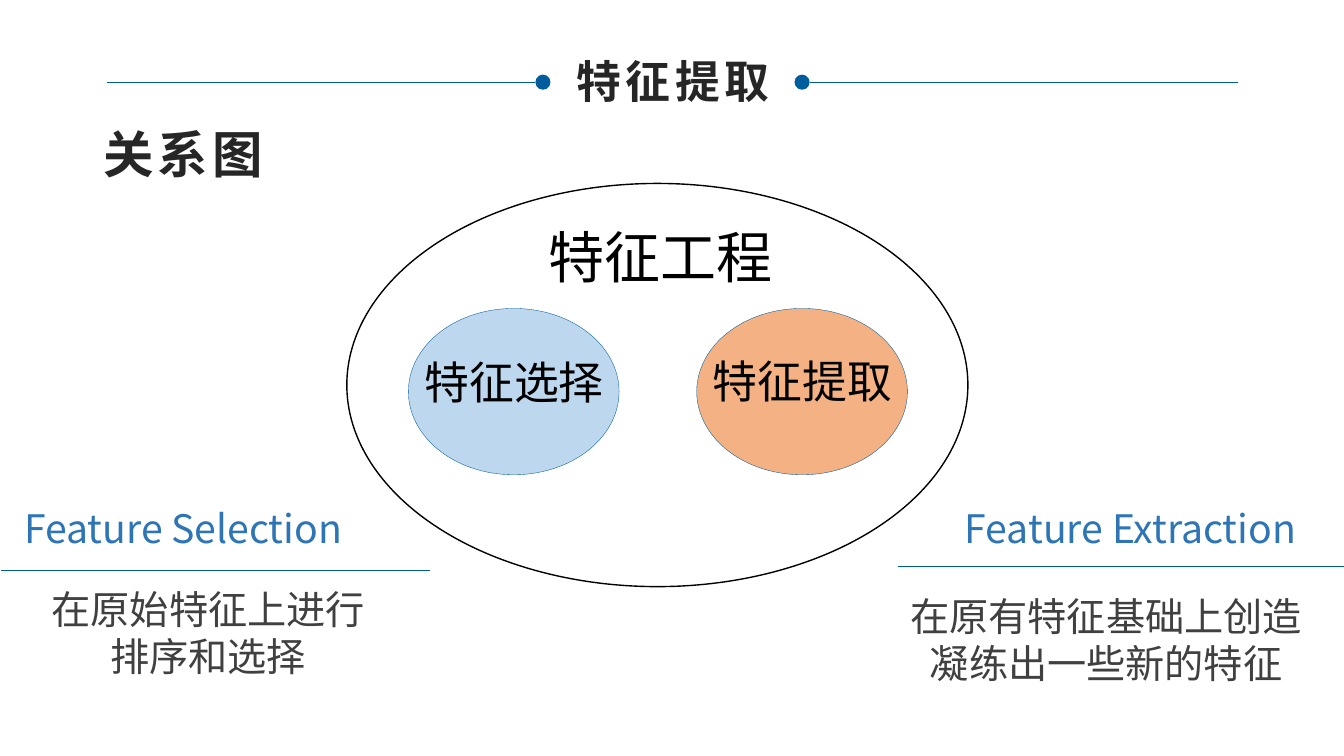
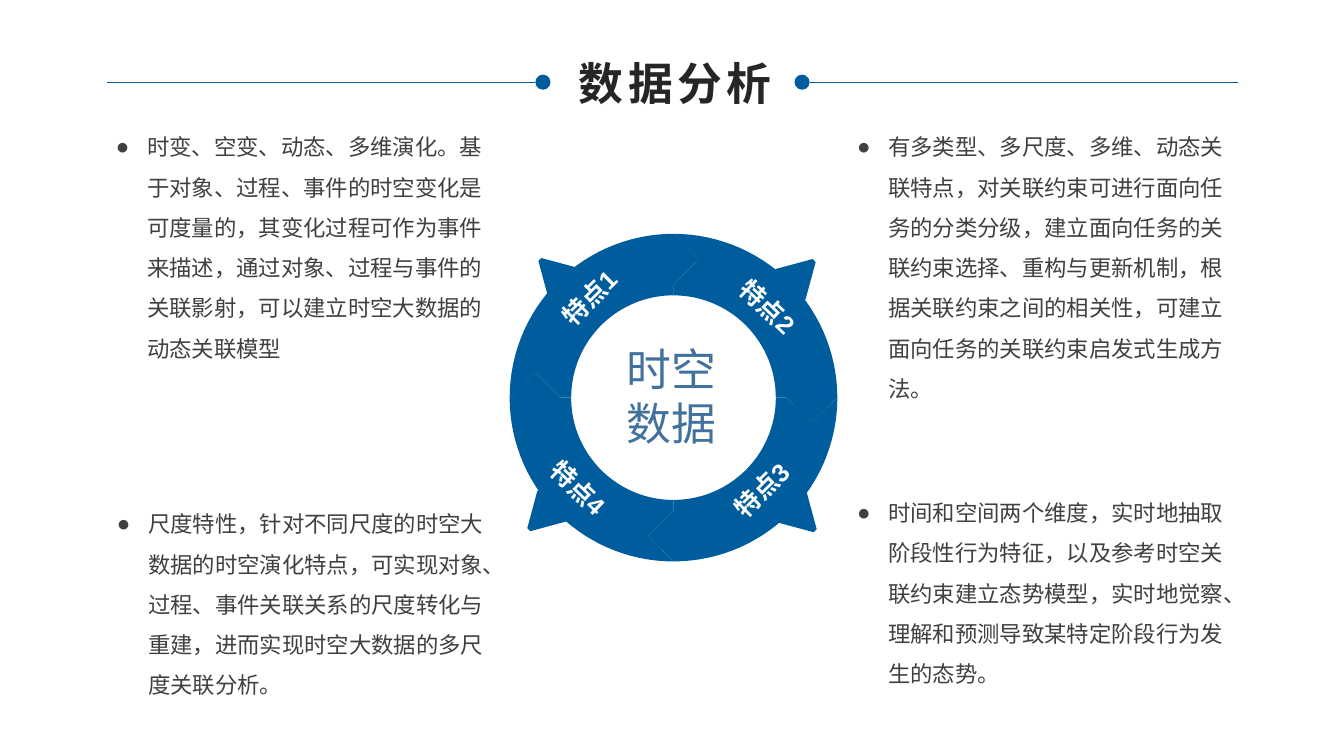
import math
import pptx
import pptx.util
import pptx.dml.color
import pptx.enum.shapes
import pptx.enum.text
import pptx.oxml.ns
from lxml import etree

RGB = pptx.dml.color.RGBColor
BLUE = RGB(0x00, 0x5D, 0x9D)
HEADING_BLUE = RGB(0x2E, 0x75, 0xB6)
CENTRE_BLUE = RGB(0x41, 0x71, 0x9C)
PALE_BLUE = RGB(0xBD, 0xD7, 0xEE)
ORANGE = RGB(0xF4, 0xB1, 0x83)
DARK = RGB(0x26, 0x26, 0x26)
GREY = RGB(0x40, 0x40, 0x40)
BLACK = RGB(0, 0, 0)
WHITE = RGB(0xFF, 0xFF, 0xFF)
SANS = "Noto Sans CJK SC"
LEFT = pptx.enum.text.PP_ALIGN.LEFT
CENTER = pptx.enum.text.PP_ALIGN.CENTER
OVAL = pptx.enum.shapes.MSO_SHAPE.OVAL
STRAIGHT = pptx.enum.shapes.MSO_CONNECTOR.STRAIGHT
qn = pptx.oxml.ns.qn

prs = pptx.Presentation()
prs.slide_width = pptx.util.Inches(13.33)
prs.slide_height = pptx.util.Inches(7.5)
U = prs.slide_height / 75  # square grid cell: 75 rows, 133.3 columns


def write(sp, at, text, size, color, font=SANS, bold=False, align=CENTER, wrap=True, spacing=0):
    """Place a text shape on the grid, fill it and format its only run."""
    sp.left, sp.top, sp.width, sp.height = [int(v * U) for v in at]
    tf = sp.text_frame
    tf.text = text
    tf.word_wrap = wrap
    tf.auto_size = pptx.enum.text.MSO_AUTO_SIZE.NONE
    tf.vertical_anchor = pptx.enum.text.MSO_ANCHOR.TOP
    p = tf.paragraphs[0]
    p.alignment = align
    r = p.runs[0]
    r.font.size = pptx.util.Pt(size)
    r.font.bold = bold
    r.font.color.rgb = color
    r.font.name = font
    rPr = r.font._element
    east_asian = etree.Element(qn("a:ea"), typeface=SANS if font == "Arial" else font)
    rPr.find(qn("a:latin")).addnext(east_asian)
    if spacing:
        rPr.set("spc", str(spacing * 100))
    return p


def paint(sp, fill, line=None, width=0.25):
    """Give a shape a flat fill and an optional outline."""
    sp.shadow.inherit = False
    sp.fill.solid()
    sp.fill.fore_color.rgb = fill
    if line is None:
        sp.line.fill.background()
    else:
        sp.line.color.rgb = line
        sp.line.width = pptx.util.Pt(width)


# Shared header: title between two dotted rules, plus each slide's own rules
relation = prs.slides.add_slide(prs.slide_layouts[5])
analysis = prs.slides.add_slide(prs.slide_layouts[4])
header_rules = [(10.6, 53.1, 8.2), (122.8, 80.3, 8.2)]
for s, title, title_x, title_y, rules in [
    (relation, "特征提取", 56, 4.8, [(0.1, 42.6, 56.6), (89.1, 133.3, 56.2)]),
    (analysis, "数据分析", 56.2, 5, []),
]:
    write(s.shapes.title, (title_x, title_y, 21.5, 6.4), title, 32, DARK, "Arial",
          bold=True, wrap=False, spacing=3)
    for x1, x2, y in header_rules + rules:
        rule = s.shapes.add_connector(STRAIGHT, *[int(v * U) for v in (x1, y, x2, y)])
        rule.line.color.rgb = BLUE
        rule.line.width = pptx.util.Pt(0.25)
        etree.SubElement(rule._element.spPr, qn("a:effectLst"))
    for x in (53.1, 78.8):
        dot = s.shapes.add_shape(OVAL, *[int(v * U) for v in (x, 7.4, 1.5, 1.5)])
        paint(dot, BLUE)

# Slide 1: nested ellipses
s = relation
for at, fill, line, width in [
    ((34.4, 18.2, 61.6, 40), WHITE, BLACK, 1),
    ((40.5, 30.6, 20.9, 16.5), PALE_BLUE, BLUE, 0.25),
    ((69.1, 30.6, 20.9, 16.5), ORANGE, BLUE, 0.25),
]:
    paint(s.shapes.add_shape(OVAL, *[int(v * U) for v in at]), fill, line, width)

# Slide 1: labels and explanations
write(s.shapes.add_textbox(0, 0, 0, 0), (8.9, 11.7, 18.5, 7.1), "关系图", 36, DARK,
      bold=True, wrap=False, spacing=3)
for at, text, size, color, wrap in [
    ((53.3, 21.6, 24.5, 7.7), "特征工程", 40, BLACK, False),
    ((41, 34.7, 20, 6.4), "特征选择", 32, BLACK, False),
    ((69.6, 34.6, 20, 6.4), "特征提取", 32, BLACK, False),
    ((0.6, 49.5, 36, 5.7), "Feature Selection ", 28, HEADING_BLUE, True),
    ((92.5, 49.5, 39.2, 5.7), "Feature Extraction", 28, HEADING_BLUE, True),
    ((3, 57.6, 35.3, 10.4), "在原始特征上进行排序和选择", 28, GREY, True),
    ((89.1, 58.3, 41.2, 10.4), "在原有特征基础上创造凝练出一些新的特征", 28, GREY, True),
]:
    write(s.shapes.add_textbox(0, 0, 0, 0), at, text, size, color, wrap=wrap)

# Slide 2: one ring quarter and one pointer, turned clockwise for each feature
s = analysis
CX, CY = 66.8, 39.45
OUTER, INNER, NOTCH, MIDDLE = 16.25, 10.15, 2.5, 13.7
angles = [math.radians(180 + 3 * i) for i in range(31)]
quarter = [(INNER * math.cos(a), INNER * math.sin(a)) for a in angles]
quarter += [(0, -11.2), (NOTCH, -MIDDLE)]
quarter += [(OUTER * math.cos(a), OUTER * math.sin(a)) for a in reversed(angles)]
quarter += [(-MIDDLE, -NOTCH), (-11.2, 0)]
pointer = [(0.3, 0), (0, 0.3), (1, 4), (1.4, 4.1), (4.1, 1.4), (4, 1)]
features = [
    ("特点1", (53.4, 27.5), 315.3, (53.4, 25.6)),
    ("特点2", (71.1, 28.4), 43.8, (80.9, 25.7)),
    ("特点3", (70.5, 46.6), 315.3, (81, 52.8)),
    ("特点4", (52.3, 46.4), 43.8, (52.3, 52.7)),
]
for turn, (label, label_at, angle, tip) in enumerate(features):
    c, d = [(1, 0), (0, 1), (-1, 0), (0, -1)][turn]
    for outline, (ox, oy) in [(quarter, (CX, CY)), (pointer, tip)]:
        pts = [((ox + c * x - d * y) * U, (oy + d * x + c * y) * U) for x, y in outline]
        fb = s.shapes.build_freeform(*pts[0])
        fb.add_line_segments(pts[1:])
        paint(fb.convert_to_shape(), BLUE)
    sp = s.shapes.add_textbox(0, 0, 0, 0)
    write(sp, label_at + (10.1, 4), label, 18, WHITE, "Arial", bold=True)
    sp.rotation = angle
write(s.shapes.add_textbox(0, 0, 0, 0), (61.2, 33.4, 10.9, 11.8), "时空数据", 32,
      CENTRE_BLUE, "Noto Sans CJK JP", align=LEFT)

# Slide 2: bulleted descriptions in the body placeholders
for idx, at, text in [
    (1, (10.5, 11.4, 40.1, 25.2),
     "时变、空变、动态、多维演化。基于对象、过程、事件的时空变化是可度量的，其变化过程可作为事件来描述，"
     "通过对象、过程与事件的关联影射，可以建立时空大数据的动态关联模型"),
    (2, (10.6, 48.8, 40.1, 21.2),
     "尺度特性，针对不同尺度的时空大数据的时空演化特点，可实现对象、过程、事件关联关系的尺度转化与重建，"
     "进而实现时空大数据的多尺度关联分析。"),
    (3, (84, 11.4, 40.1, 29.3),
     "有多类型、多尺度、多维、动态关联特点，对关联约束可进行面向任务的分类分级，"
     "建立面向任务的关联约束选择、重构与更新机制，根据关联约束之间的相关性，"
     "可建立面向任务的关联约束启发式生成方法。"),
    (4, (84, 47.7, 40.1, 21.2),
     "时间和空间两个维度，实时地抽取阶段性行为特征，以及参考时空关联约束建立态势模型，"
     "实时地觉察、理解和预测导致某特定阶段行为发生的态势。"),
]:
    p = write(s.placeholders[idx], at, text, 16, GREY, align=LEFT)
    p.line_spacing = 1.5
    p.space_before = pptx.util.Pt(0)
    pPr = p._p.get_or_add_pPr()
    pPr.set("marL", str(int(3.1 * U)))
    pPr.set("indent", str(int(-3.1 * U)))
    etree.SubElement(pPr, qn("a:buFont"), typeface="Arial")
    etree.SubElement(pPr, qn("a:buChar"), char="●")

prs.save("out.pptx")
